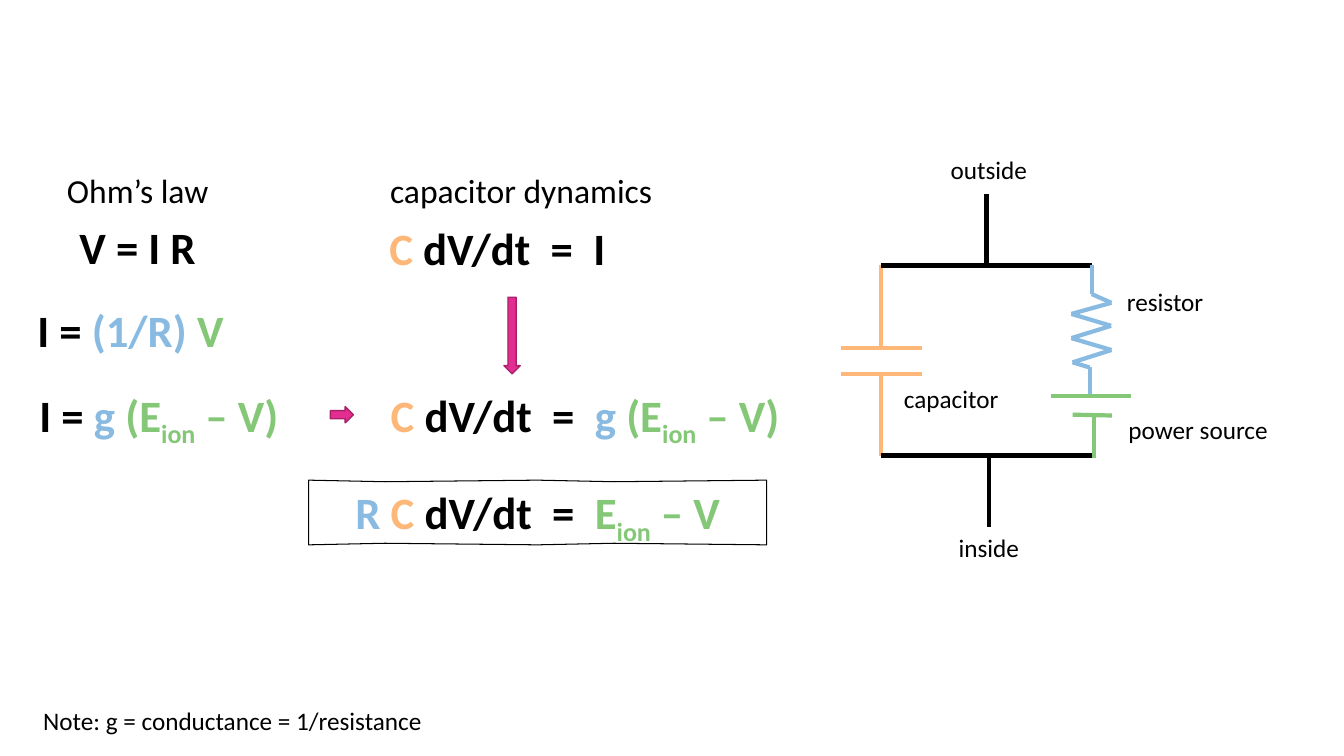
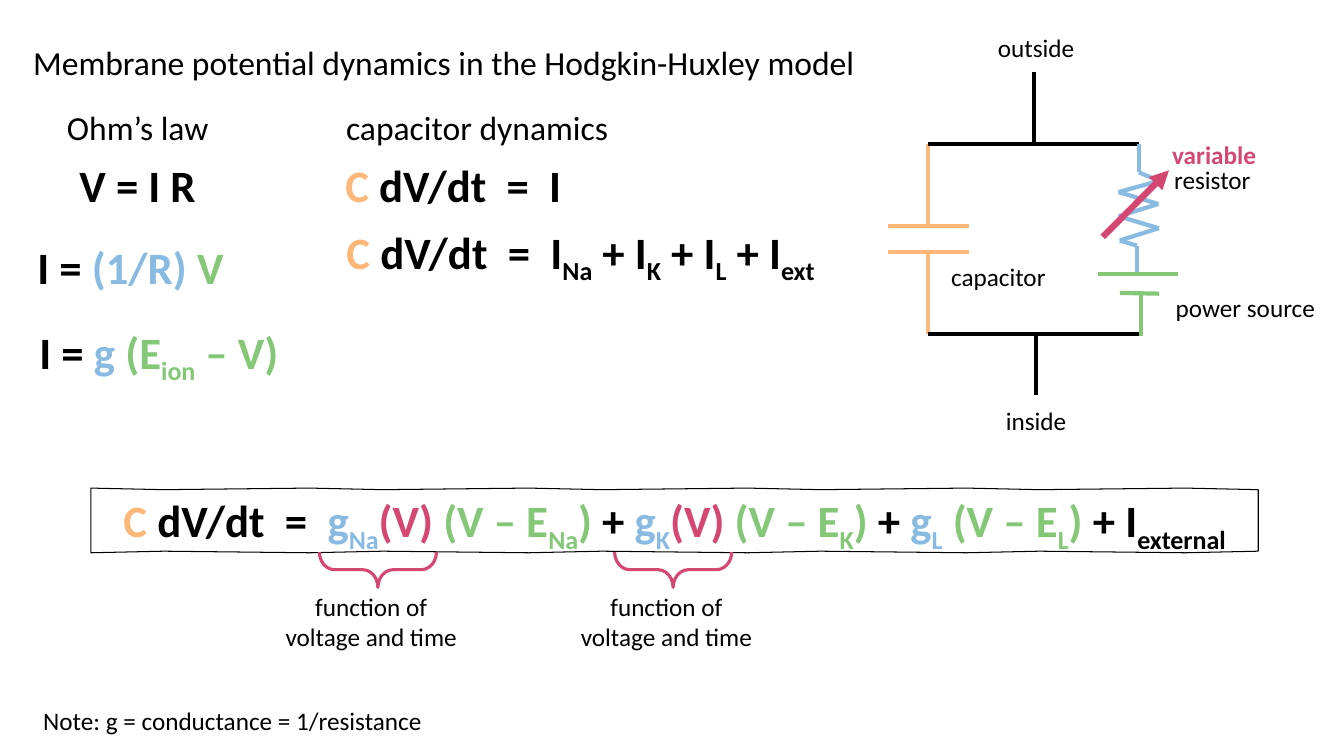
from lxml.etree import SubElement
from pptx import Presentation
from pptx.dml.color import RGBColor
from pptx.enum.shapes import MSO_CONNECTOR, MSO_SHAPE
from pptx.enum.text import MSO_ANCHOR, MSO_AUTO_SIZE, PP_ALIGN
from pptx.oxml.ns import qn
from pptx.util import Cm, Pt

COLOURS = {
    "black": "000000", "orange": "FDB879", "blue": "89BBE2", "green": "84C777",
    "pink": "D54773", "magenta": "E32D91", "plum": "A8216B",
}
FONT = "Calibri"
EQUATION, HEADING, LABEL = 32, 24, 18
LINE_HEIGHTS = {EQUATION: 1.63, HEADING: 1.27, LABEL: 1.02}
LEFT, CENTER = PP_ALIGN.LEFT, PP_ALIGN.CENTER


def write_runs(shape, runs, size, alignment):
    """Fill a shape with runs of (text, colour) or (text, colour, "sub")."""
    frame = shape.text_frame
    frame.word_wrap = True
    frame.auto_size = MSO_AUTO_SIZE.NONE
    frame.vertical_anchor = MSO_ANCHOR.TOP
    paragraph = frame.paragraphs[0]
    paragraph.alignment = alignment
    for text, colour, *position in runs:
        run = paragraph.add_run()
        run.text = text
        run.font.name = FONT
        run.font.size = Pt(size)
        run.font.bold = size == EQUATION or colour == "pink"
        run.font.color.rgb = RGBColor.from_string(COLOURS[colour])
        if position:
            run.font._element.set("baseline", "-25000")


def add_line(shapes, start, end, colour, width=3.0):
    """Draw a straight line between two points given in centimetres."""
    line = shapes.add_connector(
        MSO_CONNECTOR.STRAIGHT, *(Cm(value) for value in (*start, *end)))
    line.line.color.rgb = RGBColor.from_string(COLOURS[colour])
    line.line.width = Pt(width)
    SubElement(line._element.spPr, qn("a:effectLst"))
    return line


# Equations used more than once
CAPACITOR_SIDE = [("C ", "orange"), ("dV/dt  =  ", "black")]
ION_DRIVE = [("g", "blue"), (" (E", "green"), ("ion", "green", "sub"), (" – V)", "green")]

# Circuit parts, measured from the top left corner of the loop
CAPACITOR_LINES = [
    ((-1.01, 2.08), (1.04, 2.08)), ((-1.01, 2.74), (1.04, 2.74)),
    ((0, 0), (0, 2.06)), ((0, 2.74), (0, 4.79)),
]
RESISTOR_POINTS = [
    (5.31, 0), (5.31, 0.72), (5.81, 0.94), (4.8, 1.22), (5.8, 1.52),
    (4.8, 1.83), (5.81, 2.13), (4.83, 2.44), (5.26, 2.57), (5.26, 3.28),
]
SOURCE_LINES = [
    ((4.29, 3.28), (6.3, 3.28)), ((4.83, 3.76), (5.82, 3.78)), ((5.36, 3.73), (5.36, 4.84)),
]
CIRCUIT_LABELS = [
    ("capacitor", 0.33, 2.84, 3.12, LEFT), ("resistor", 5.95, 0.39, 3.12, LEFT),
    ("power source", 5.99, 3.63, 4.27, LEFT), ("outside", 1.45, -2.92, 2.54, CENTER),
]

# What differs between the slides
FUNCTION_NOTE = [("function of voltage and time", "black")]
BRACES = (9.08, 16.52)
PAGES = [
    {
        "layout": 6,
        "top": 4.15,
        "capacitor_left": 8.71,
        "loop": (22.2, 6.69),
        "inside_lead": 1.8,
        "inside_top": 6.61,
        "texts": [
            (8.61, 9.65, 12.27, CAPACITOR_SIDE + ION_DRIVE, EQUATION, CENTER),
        ],
        "frame": (7.78, 12.1, 11.54),
        "result": [("R ", "blue"), *CAPACITOR_SIDE, ("E", "green"),
                   ("ion", "green", "sub"), (" – V", "green")],
        "arrows": [(12.7, 7.49, 1.93, 0), (8.41, 10.16, 0.58, 270)],
        "braces": (),
    },
    {
        "layout": 5,
        "title": "Membrane potential dynamics in the Hodgkin-Huxley model",
        "top": 2.57,
        "capacitor_left": 7.6,
        "loop": (23.39, 3.62),
        "inside_lead": 1.55,
        "inside_top": 6.48,
        "texts": [
            (8.48, 5.54, 15.19,
             [*CAPACITOR_SIDE, ("I", "black"), ("Na", "black", "sub"), (" + I", "black"),
              ("K", "black", "sub"), (" + I", "black"), ("L", "black", "sub"),
              (" + I", "black"), ("ext", "black", "sub")], EQUATION, LEFT),
            (29.29, 3.39, 3.33, [("variable", "pink")], LABEL, LEFT),
            *((left - 2.19, 14.77, 4.93, FUNCTION_NOTE, LABEL, CENTER) for left in BRACES),
        ],
        "frame": (2.29, 12.3, 29.42),
        "result": [
            *CAPACITOR_SIDE,
            ("g", "blue"), ("Na", "blue", "sub"), ("(V) ", "pink"),
            ("(V – E", "green"), ("Na", "green", "sub"), (")", "green"), (" + ", "black"),
            ("g", "blue"), ("K", "blue", "sub"), ("(V)", "pink"),
            (" (V – E", "green"), ("K", "green", "sub"), (") ", "green"), ("+ ", "black"),
            ("g", "blue"), ("L", "blue", "sub"),
            (" (V – E", "green"), ("L", "green", "sub"), (") ", "green"),
            ("+ I", "black"), ("external", "black", "sub"),
        ],
        "arrows": [],
        "braces": BRACES,
    },
]

presentation = Presentation()
presentation.slide_width = Cm(33.87)
presentation.slide_height = Cm(19.05)

for page in PAGES:
    slide = presentation.slides.add_slide(presentation.slide_layouts[page["layout"]])

    # Title
    if "title" in page:
        title = slide.shapes.title
        title.left, title.top, title.width, title.height = Cm(0.58), Cm(0.93), Cm(32.69), Cm(1.27)
        write_runs(title, [(page["title"], "black")], HEADING, LEFT)

    # Headings, equations and note
    top, capacitor_left = page["top"], page["capacitor_left"]
    texts = [
        (0.23, top, 6.48, [("Ohm’s law", "black")], HEADING, CENTER),
        (0.23, top + 1.27, 6.48, [("V = I R", "black")], EQUATION, CENTER),
        (0.05, top + 3.35, 6.48,
         [("I = ", "black"), ("(1/R) ", "blue"), ("V", "green")], EQUATION, CENTER),
        (0.13, top + 5.49, 7.75, [("I = ", "black"), *ION_DRIVE], EQUATION, CENTER),
        (capacitor_left + 0.6, top, 7.65, [("capacitor dynamics", "black")], HEADING, CENTER),
        (capacitor_left, top + 1.28, 7.65, [*CAPACITOR_SIDE, ("I", "black")], EQUATION, CENTER),
        (0.84, 17.66, 10.11, [("Note: g = conductance = 1/resistance", "black")], LABEL, LEFT),
        *page["texts"],
    ]
    for left, text_top, width, runs, size, alignment in texts:
        lines = 2 if runs is FUNCTION_NOTE else 1
        box = slide.shapes.add_textbox(
            Cm(left), Cm(text_top), Cm(width), Cm(LINE_HEIGHTS[size] * lines))
        write_runs(box, runs, size, alignment)

    # Circuit
    circuit = slide.shapes.add_group_shape().shapes
    loop_left, loop_top = page["loop"]
    wire_lines = [
        ((2.66, -1.8), (2.66, 0)), ((2.72, 4.79), (2.72, 4.79 + page["inside_lead"])),
        ((0, 0), (5.31, 0)), ((0, 4.79), (5.31, 4.79)),
    ]
    parts = [
        ("orange", CAPACITOR_LINES), ("black", wire_lines),
        ("blue", zip(RESISTOR_POINTS, RESISTOR_POINTS[1:])), ("green", SOURCE_LINES),
    ]
    for colour, segments in parts:
        for segment in segments:
            start, end = [(loop_left + x, loop_top + y) for x, y in segment]
            add_line(circuit, start, end, colour)
    inside_label = ("inside", 1.45, page["inside_top"], 2.54, CENTER)
    for label, x, y, width, alignment in [*CIRCUIT_LABELS, inside_label]:
        box = circuit.add_textbox(
            Cm(loop_left + x), Cm(loop_top + y), Cm(width), Cm(LINE_HEIGHTS[LABEL]))
        write_runs(box, [(label, "black")], LABEL, alignment)

    # Hand-drawn frame around the resulting equation, its edges slightly uneven
    left, top, width = page["frame"]
    bottom = top + LINE_HEIGHTS[EQUATION]
    steps = round(width / 1.8)
    edge = [(left + width * step / steps, 0.02 * (step * 2 % 3)) for step in range(steps + 1)]
    outline = [(Cm(x), Cm(top + dent)) for x, dent in edge]
    outline += [(Cm(x), Cm(bottom - dent)) for x, dent in reversed(edge)]
    builder = slide.shapes.build_freeform(*outline[0])
    builder.add_line_segments(outline[1:], close=True)
    frame = builder.convert_to_shape()
    frame.shadow.inherit = False
    frame.fill.background()
    frame.line.color.rgb = RGBColor.from_string(COLOURS["black"])
    frame.line.width = Pt(0.75)
    write_runs(frame, page["result"], EQUATION, CENTER)

    # Arrows between the equations
    for left, top, length, rotation in page["arrows"]:
        arrow = slide.shapes.add_shape(
            MSO_SHAPE.DOWN_ARROW, Cm(left), Cm(top), Cm(0.41), Cm(length))
        arrow.rotation = rotation
        arrow.shadow.inherit = False
        arrow.fill.solid()
        arrow.fill.fore_color.rgb = RGBColor.from_string(COLOURS["magenta"])
        arrow.line.color.rgb = RGBColor.from_string(COLOURS["plum"])
        arrow.line.width = Pt(1)

    # Braces under the voltage-dependent conductances
    for left in page["braces"]:
        brace = slide.shapes.add_shape(
            MSO_SHAPE.LEFT_BRACE, Cm(left), Cm(12.88), Cm(0.89), Cm(2.95))
        brace.rotation = 270
        brace.adjustments[0] = 0.43
        brace.shadow.inherit = False
        brace.fill.background()
        brace.line.color.rgb = RGBColor.from_string(COLOURS["pink"])
        brace.line.width = Pt(2.25)

# Arrow marking the resistor of the last slide as variable
variable_arrow = add_line(slide.shapes, (27.79, 5.97), (29.46, 4.29), "pink", 4.5)
SubElement(variable_arrow._element.spPr.find(qn("a:ln")), qn("a:tailEnd"), type="triangle")

presentation.save("out.pptx")
